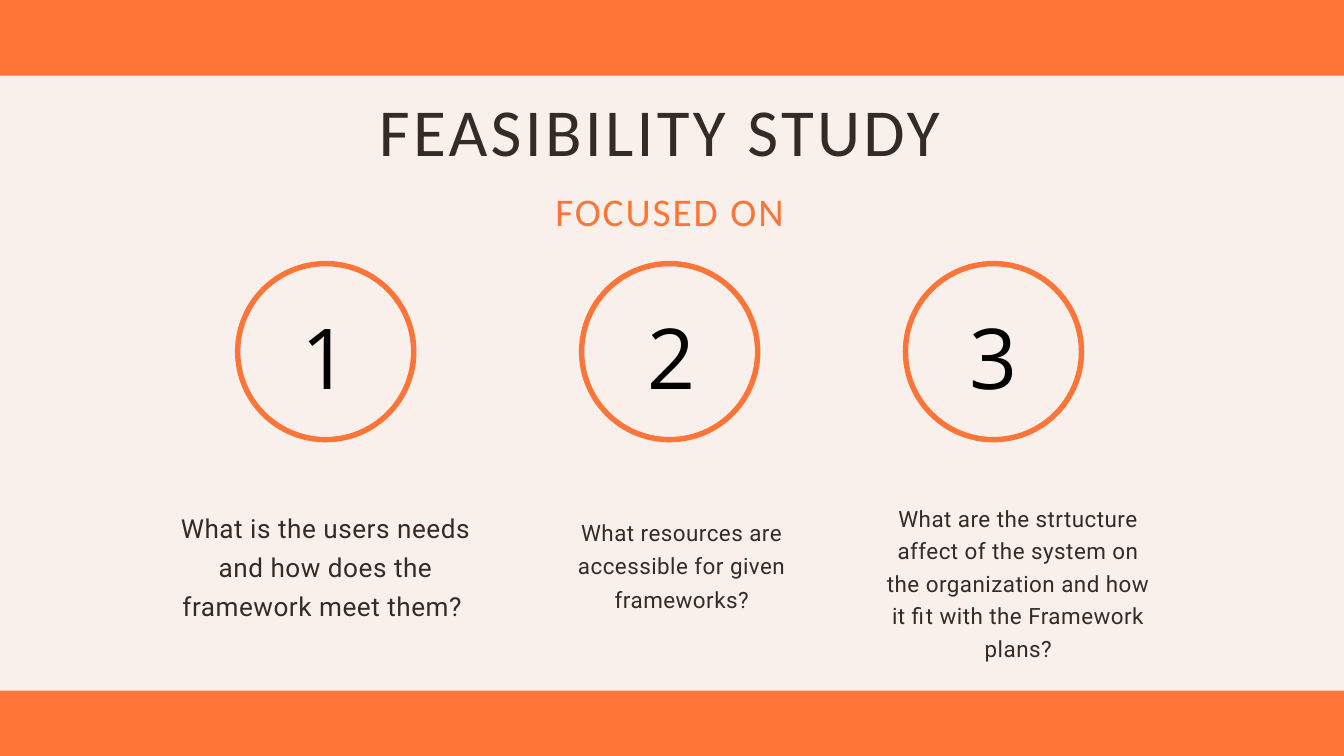
import pptx
import pptx.dml.color
import pptx.enum.shapes
import pptx.enum.text
import pptx.util

Pt = pptx.util.Pt
RGB = pptx.dml.color.RGBColor
SHAPE = pptx.enum.shapes.MSO_SHAPE

ORANGE = RGB(0xFF, 0x75, 0x38)
CREAM = RGB(0xFA, 0xF0, 0xEB)
BROWN = RGB(0x33, 0x2B, 0x24)
BLACK = RGB(0, 0, 0)


class Deck:
    """Holds the slide and the fonts, and draws each kind of element."""
    head = "Calibri"
    body = "Roboto"
    digit = "Open Sans"

    def __init__(self, slide):
        self.slide = slide
        fill = slide.background.fill
        fill.solid()
        fill.fore_color.rgb = CREAM

    def shape(self, kind, left, top, width, height):
        shape = self.slide.shapes.add_shape(
            kind, Pt(left), Pt(top), Pt(width), Pt(height))
        shape.shadow.inherit = False
        shape.fill.solid()
        shape.fill.fore_color.rgb = ORANGE
        shape.line.fill.background()
        return shape

    def bar(self, left, top, width, height):
        self.shape(SHAPE.RECTANGLE, left, top, width, height)

    def ring(self, mid, top, size):
        ring = self.shape(SHAPE.DONUT, mid - size / 2, top, size, size)
        ring.adjustments[0] = 0.03

    def text(self, words, mid, top, width, height, font, size, color,
             line, gap=0):
        box = self.slide.shapes.add_textbox(
            Pt(mid - width / 2), Pt(top), Pt(width), Pt(height))
        frame = box.text_frame
        frame.word_wrap = True
        frame.margin_left = frame.margin_right = 0
        frame.margin_top = frame.margin_bottom = 0
        frame.text = words
        para = frame.paragraphs[0]
        para.alignment = pptx.enum.text.PP_ALIGN.CENTER
        para.line_spacing = Pt(line)
        run = para.runs[0]
        run.font.name = font
        run.font.size = Pt(size)
        run.font.color.rgb = color
        # Letter spacing, in hundredths of a point
        run._r.get_or_add_rPr().set("spc", str(round(gap * 100)))


def main():
    prs = pptx.Presentation()
    prs.slide_width, prs.slide_height = Pt(1440), Pt(810)
    deck = Deck(prs.slides.add_slide(prs.slide_layouts[6]))

    # Headings
    deck.text("FEASIBILITY STUDY ", 717, 102.5, 1188, 82,
              deck.head, 72, BROWN, 79.2, 3.6)
    deck.text("FOCUSED ON", 717.5, 204.5, 931, 47.5,
              deck.head, 42, ORANGE, 46.2, 2.1)

    # Columns: ring, digit and question, each with its own centre
    # ring mid, digit mid, text mid, top, width, height, size, line, gap, words
    cols = [
        (349, 349, 349, 540.5, 332, 124.5, 28, 42, 0.6,
         "What is the users needs and how does the framework meet them? "),
        (717.5, 719.5, 730.5, 548.5, 284.5, 107.5, 24, 36, 0.5,
         "What resources are accessible for given frameworks?"),
        (1064.5, 1064.5, 1091, 535, 291, 138, 24, 34.8, 0.5,
         "What are the strtucture affect of the system on the organization "
         "and how it fit with the Framework plans?"),
    ]
    for num, col in enumerate(cols, 1):
        ring, digit, mid, top, width, height, size, line, gap, words = col
        deck.ring(ring, 279.5, 194.5)
        deck.text(str(num), digit, 309.5, 52.5, 121,
                  deck.digit, 90, BLACK, 126)
        deck.text(words, mid, top, width, height,
                  deck.body, size, BROWN, line, gap)

    # Bars that bleed past the edges
    deck.bar(-113.5, -36, 1615.5, 117)
    deck.bar(-72.5, 740, 1586, 106)

    prs.save("out.pptx")


if __name__ == "__main__":
    main()
